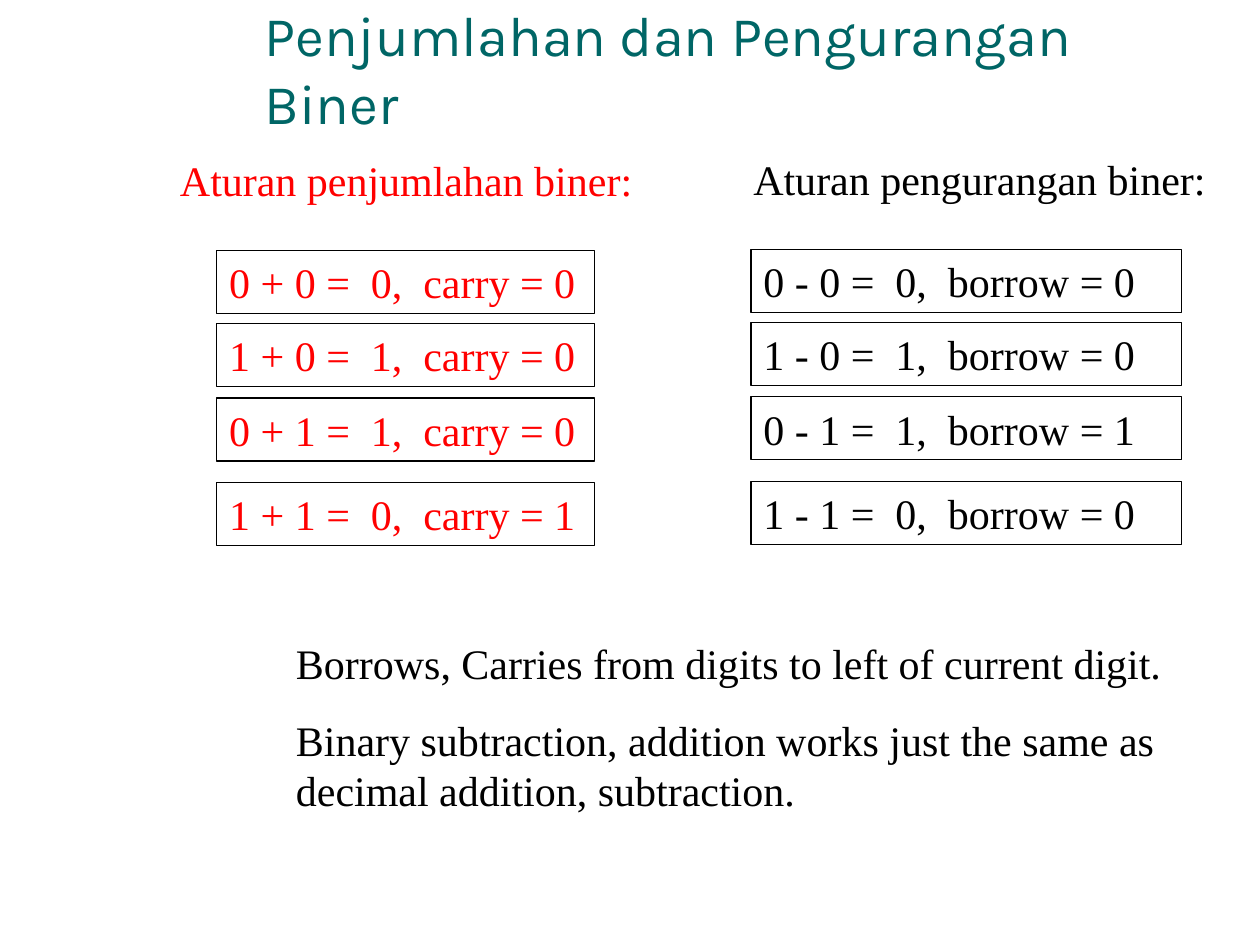
import pptx
import pptx.util
import pptx.dml.color
import pptx.enum.shapes
import pptx.enum.text
from pptx.util import Inches

COLORS = {"title": "006666", "addition": "FF0000", "subtraction": "000000", "border": "000000"}
BODY_FONT = "Times New Roman"


def color(name):
    return pptx.dml.color.RGBColor.from_string(COLORS[name])


def write(box, *lines, tone, font=BODY_FONT, size=24, gap=15,
          anchor=pptx.enum.text.MSO_ANCHOR.TOP):
    frame = box.text_frame
    frame.word_wrap = True
    frame.vertical_anchor = anchor
    for index, line in enumerate(lines):
        para = frame.add_paragraph() if index else frame.paragraphs[0]
        para.alignment = pptx.enum.text.PP_ALIGN.LEFT
        if index:
            para.space_before = pptx.util.Pt(gap)
        span = para.add_run()
        span.text = line
        span.font.name = font
        span.font.size = pptx.util.Pt(size)
        span.font.color.rgb = color(tone)


deck = pptx.Presentation()
deck.slide_width = Inches(10)
deck.slide_height = Inches(7.5)
page = deck.slides.add_slide(deck.slide_layouts[6])

title = page.shapes.add_textbox(Inches(2), Inches(0.25), Inches(7.52), Inches(0.58))
write(title, "Penjumlahan dan Pengurangan Biner", tone="title", font="Karla", size=32,
      anchor=pptx.enum.text.MSO_ANCHOR.MIDDLE)

columns = [
    ("Aturan penjumlahan biner:", "addition", 1.33, 1.18, 4.23, 1.72, 3,
     ["0 + 0 =  0,  carry = 0", "1 + 0 =  1,  carry = 0",
      "0 + 1 =  1,  carry = 0", "1 + 1 =  0,  carry = 1"]),
    ("Aturan pengurangan biner:", "subtraction", 5.88, 1.17, 3.85, 5.96, 3.42,
     ["0 - 0 =  0,  borrow = 0", "1 - 0 =  1,  borrow = 0",
      "0 - 1 =  1,  borrow = 1", "1 - 1 =  0,  borrow = 0"]),
]
row_offsets = [0.81, 1.39, 1.98, 2.65]

for heading, tone, left, top, width, rule_left, rule_width, rules in columns:
    label = page.shapes.add_textbox(Inches(left), Inches(top), Inches(width), Inches(0.5))
    write(label, heading, tone=tone)
    group = page.shapes.add_group_shape()
    for offset, rule in zip(row_offsets, rules):
        box = group.shapes.add_shape(
            pptx.enum.shapes.MSO_SHAPE.RECTANGLE,
            Inches(rule_left), Inches(top + offset), Inches(rule_width), Inches(0.5))
        box.shadow.inherit = False
        box.fill.background()
        box.line.color.rgb = color("border")
        box.line.width = pptx.util.Pt(0.75)
        write(box, rule, tone=tone)

notes = page.shapes.add_textbox(Inches(2.25), Inches(5.01), Inches(7.55), Inches(1.51))
write(notes, "Borrows, Carries from digits to left of current digit.",
      "Binary subtraction, addition works just the same as decimal addition, subtraction.",
      tone="subtraction")

deck.save("out.pptx")
